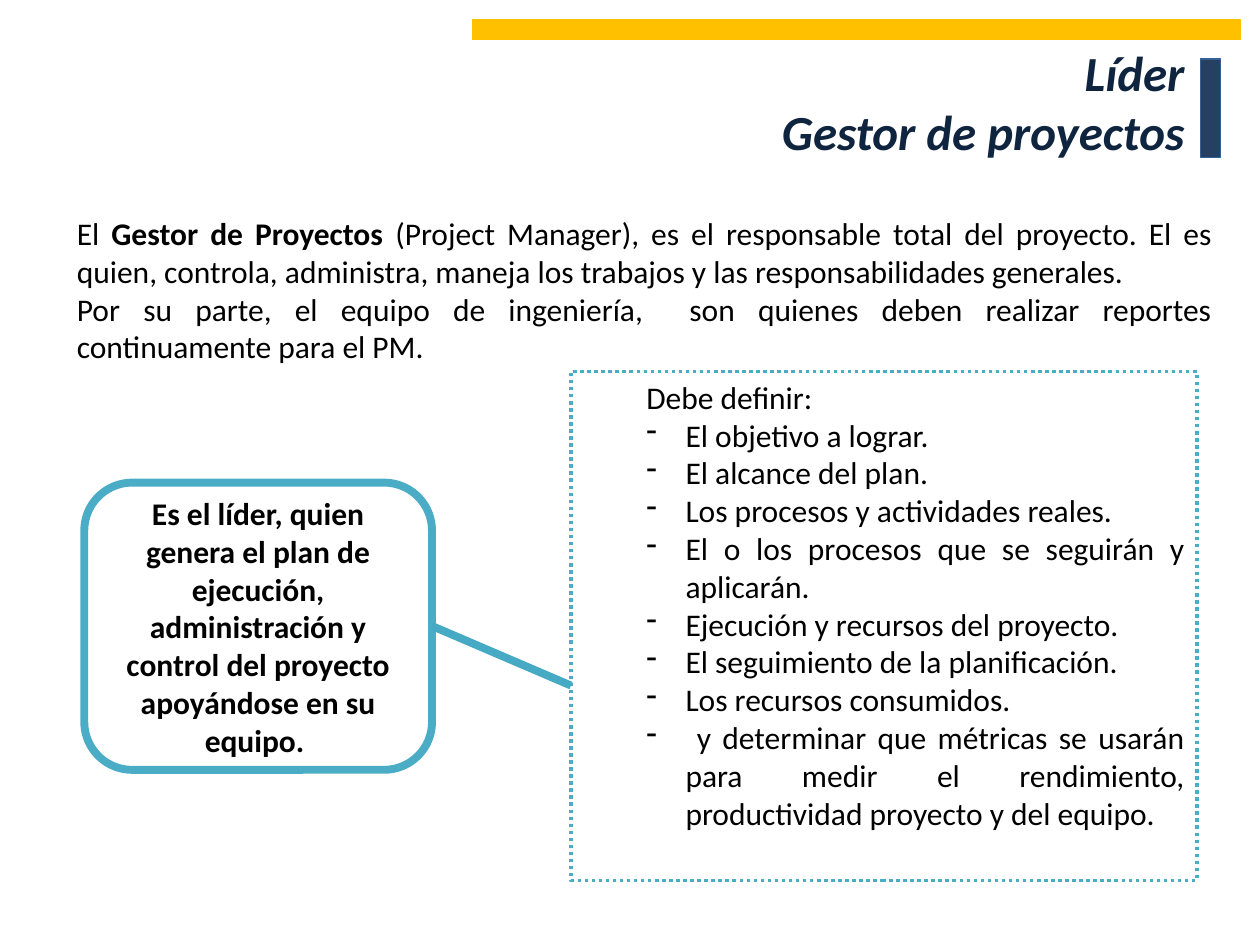
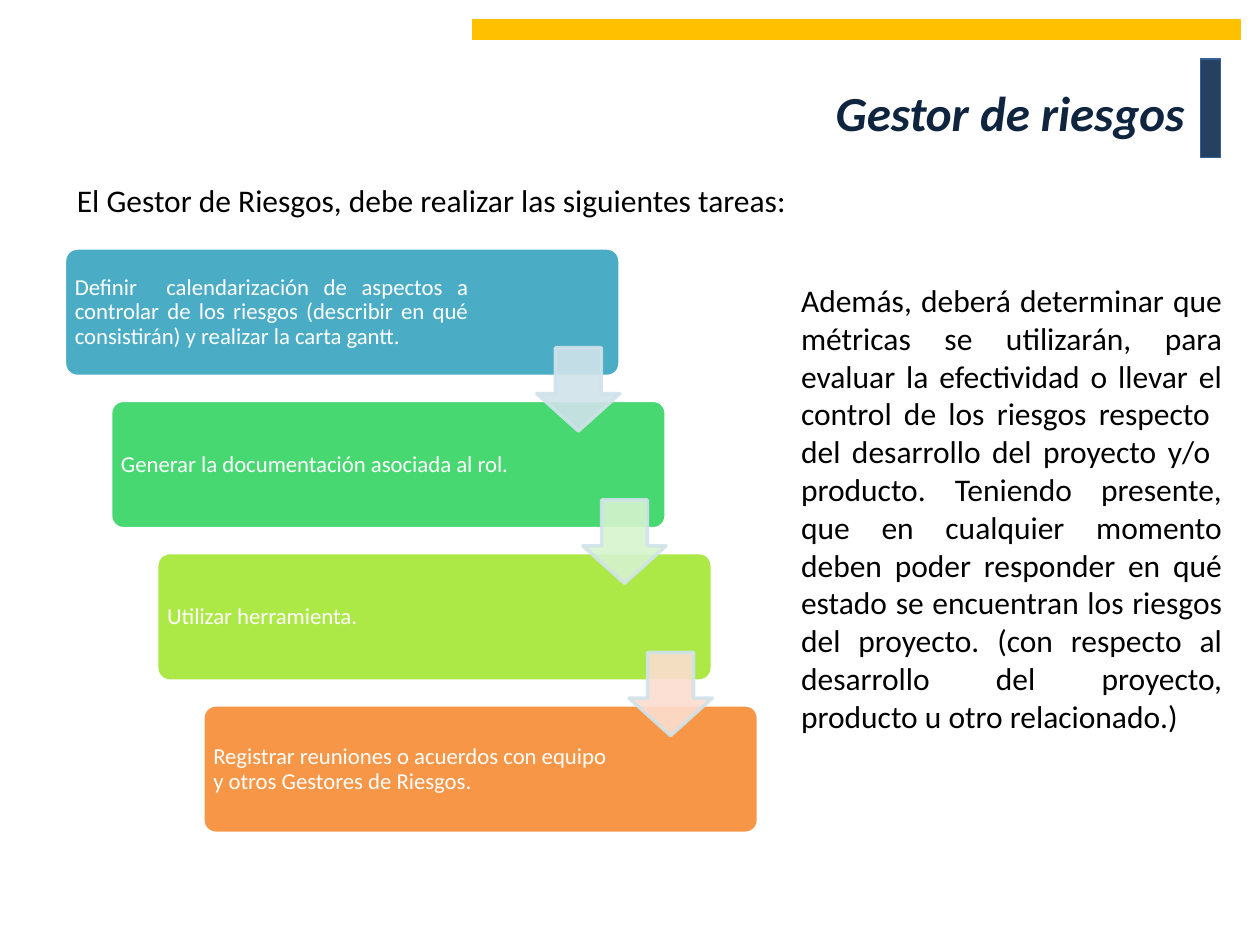
from lxml.etree import SubElement as Sub
from pptx import Presentation
from pptx.dml.color import RGBColor as Rgb
from pptx.enum.dml import MSO_LINE as Dash
from pptx.enum.shapes import MSO_CONNECTOR as Link, MSO_SHAPE as Kind
from pptx.enum.text import MSO_ANCHOR as Anchor, MSO_AUTO_SIZE as Auto, PP_ALIGN as Align
from pptx.oxml.ns import qn
from pptx.util import Cm, Pt

HUE = {
    "navy": "254061", "edge": "376092", "gold": "FFC000", "title": "0F243E",
    "black": "000000", "white": "FFFFFF", "teal": "4BACC6", "link": "46AAC5",
    "green": "47D872", "lime": "ACE946", "orange": "F79646",
    "ice": "D0E3EA", "mint": "D6F4CE", "peach": "FCDDCF",
}
TITLE = {"size": Pt(28), "bold": True, "italic": True}
BODY = {"size": Pt(18)}
STRONG = {"size": Pt(18), "bold": True}
STEP = {"size": Pt(13)}


def form(slide, kind, box, fill, line, width):
    """Add a flat shape; box is left, top, width, height in cm."""
    shape = slide.shapes.add_shape(kind, *map(Cm, box))
    shape.shadow.inherit = False
    shape.fill.solid()
    shape.fill.fore_color.rgb = Rgb.from_string(HUE[fill])
    shape.line.color.rgb = Rgb.from_string(HUE[line])
    shape.line.width = Pt(width)
    return shape


def write(frame, paras, style, hue="black", align=Align.JUSTIFY, anchor=Anchor.TOP):
    """Fill a text frame; ** switches bold on and off within a paragraph."""
    for name, value in {"word_wrap": True, "auto_size": Auto.NONE,
                        "vertical_anchor": anchor}.items():
        setattr(frame, name, value)
    for i, text in enumerate(paras):
        para = frame.add_paragraph() if i else frame.paragraphs[0]
        para.alignment = align
        for j, part in enumerate(text.split("**")):
            for k, row in enumerate(part.split("\n")):
                if k:
                    para.add_line_break()
                run = para.add_run()
                run.text = row
                look = {"name": "Calibri", **style}
                if j % 2:
                    look["bold"] = True
                for name, value in look.items():
                    setattr(run.font, name, value)
                run.font.color.rgb = Rgb.from_string(HUE[hue])


deck = Presentation()
deck.slide_width, deck.slide_height = Cm(25.4), Cm(19.05)
base = deck.slide_layouts[5]

# Slides with their titles
lead, risk = [deck.slides.add_slide(base) for _ in range(2)]
for slide, text, top in ((lead, "Líder\n Gestor de proyectos", 0.76),
                         (risk, "Gestor de riesgos", 0.97)):
    head = slide.shapes.title
    spot = {"left": 10.31, "top": top, "width": 13.82, "height": 2.57}
    for name, value in spot.items():
        setattr(head, name, Cm(value))
    write(head.text_frame, [text], TITLE, "title", Align.RIGHT, Anchor.MIDDLE)

# Bands, moved to the shared layout
for box, fill, line in (((24.2, 1.19, 0.4, 1.98), "navy", "edge"),
                        ((9.53, 0.4, 15.47, 0.4), "gold", "gold")):
    band = form(lead, Kind.RECTANGLE, box, fill, line, 0.75)
    base.shapes.element.append(band.element)

# Plain text on both slides
notes = (
    (lead, (1.3, 4.19, 23.39, 6.76), [
        "El **Gestor de Proyectos **(Project Manager), es el responsable total del "
        "proyecto. El es quien, controla, administra, maneja los trabajos y las "
        "responsabilidades generales. ",
        "Por su parte, el equipo de ingeniería,  son quienes deben realizar reportes "
        "continuamente para el PM. "]),
    (risk, (1.3, 3.53, 23.6, 9.9),
     ["El Gestor de Riesgos, debe realizar las siguientes tareas:"]),
    (risk, (15.9, 5.54, 8.99, 10.26), [
        "Además, deberá determinar que métricas se utilizarán, para evaluar la "
        "efectividad o llevar el control de los riesgos respecto  del desarrollo del "
        "proyecto y/o  producto. Teniendo presente, que en cualquier momento deben "
        "poder responder en qué estado se encuentran los riesgos del proyecto. (con "
        "respecto al desarrollo del proyecto, producto u otro relacionado.)  "]),
)
for slide, box, paras in notes:
    write(slide.shapes.add_textbox(*map(Cm, box)).text_frame, paras, BODY)

# Leader box
chief = form(lead, Kind.ROUNDED_RECTANGLE, (1.7, 9.73, 7.01, 5.79), "white", "teal", 4.5)
write(chief.text_frame, [
    "Es el líder, quien genera el plan de ejecución, administración y control del "
    "proyecto apoyándose en su equipo. "], STRONG, "black", Align.CENTER, Anchor.MIDDLE)

# List of duties
duties = form(lead, Kind.RECTANGLE, (11.51, 7.49, 12.62, 10.26), "white", "teal", 2)
duties.line.dash_style = Dash.ROUND_DOT
write(duties.text_frame, [
    "Debe definir:",
    "El objetivo a lograr.",
    "El alcance del plan.",
    "Los procesos y actividades reales.",
    "El o los procesos que se seguirán y aplicarán.",
    "Ejecución y recursos del proyecto.",
    "El seguimiento de la planificación.",
    "Los recursos consumidos.",
    " y determinar que métricas se usarán para medir el rendimiento, productividad "
    "proyecto y del equipo. "], BODY)
for i, para in enumerate(duties.text_frame.paragraphs):
    para.level = 1
    props = para._p.get_or_add_pPr()
    props.set("marL", str(Cm(2.06 if i else 1.27)))
    props.set("indent", str(Cm(-0.79 if i else 0)))
    if i:
        Sub(props, qn("a:buChar")).set("char", "-")

# Link from leader to duties
link = lead.shapes.add_connector(Link.STRAIGHT, *map(Cm, (8.71, 12.62, 11.51, 13.82)))
link.line.color.rgb = Rgb.from_string(HUE["link"])
link.line.width = Pt(4.5)
Sub(link.element.spPr, qn("a:effectLst"))

# Staircase of tasks
tasks = (
    ("teal", 8.18, Align.JUSTIFY,
     "Definir  calendarización de aspectos a controlar de los riesgos (describir en "
     "qué consistirán) y realizar la carta gantt."),
    ("green", 8.43, Align.LEFT, "Generar la documentación asociada al rol."),
    ("lime", 8.43, Align.LEFT, "Utilizar herramienta."),
    ("orange", 8.43, Align.LEFT,
     "Registrar reuniones o acuerdos con equipo y otros Gestores de Riesgos."),
)
DX, DY = 0.93, 3.07
for i, (fill, width, align, text) in enumerate(tasks):
    left, top = 1.3 + i * DX, 5 + i * DY
    card = form(risk, Kind.ROUNDED_RECTANGLE, (left, top, 11.2, 2.59), fill, "white", 2)
    card.adjustments[0] = 0.1
    area = (left + 0.08, top + 0.08, width, 2.44)
    frame = risk.shapes.add_textbox(*map(Cm, area)).text_frame
    for side in ("left", "top", "right", "bottom"):
        setattr(frame, "margin_" + side, Cm(0.13))
    write(frame, [text], STEP, "white", align, Anchor.MIDDLE)
    frame.paragraphs[0].line_spacing = 0.9

# Arrows between tasks
for i, fill in enumerate(("ice", "mint", "peach")):
    box = (10.82 + i * DX, 7.01 + i * DY, 1.68, 1.68)
    arrow = form(risk, Kind.DOWN_ARROW, box, fill, "ice", 2)
    arrow.adjustments[0], arrow.adjustments[1] = 0.55, 0.45
    for tint in arrow.element.spPr.iter(qn("a:srgbClr")):
        Sub(tint, qn("a:alpha")).set("val", "90000")

deck.save("out.pptx")
